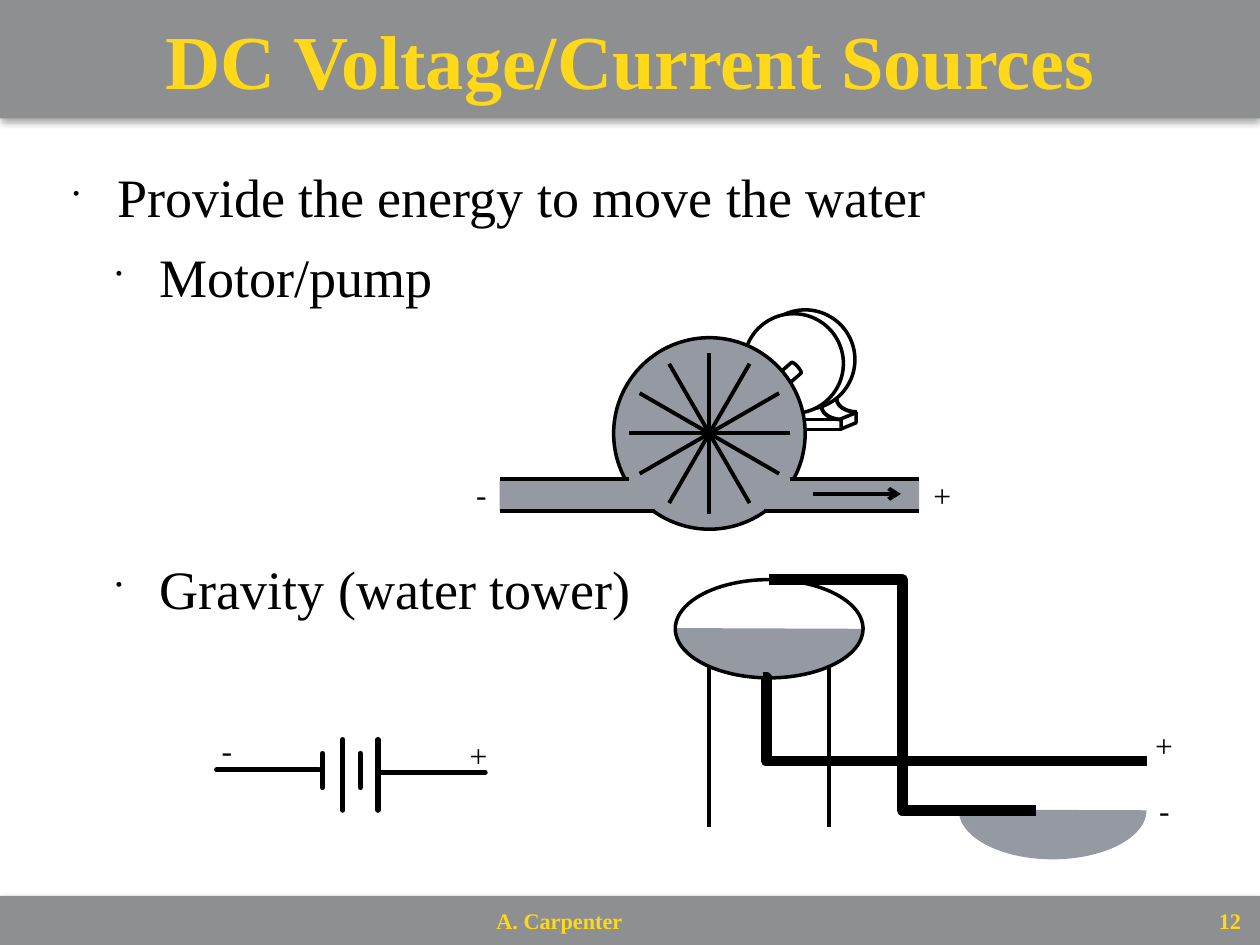
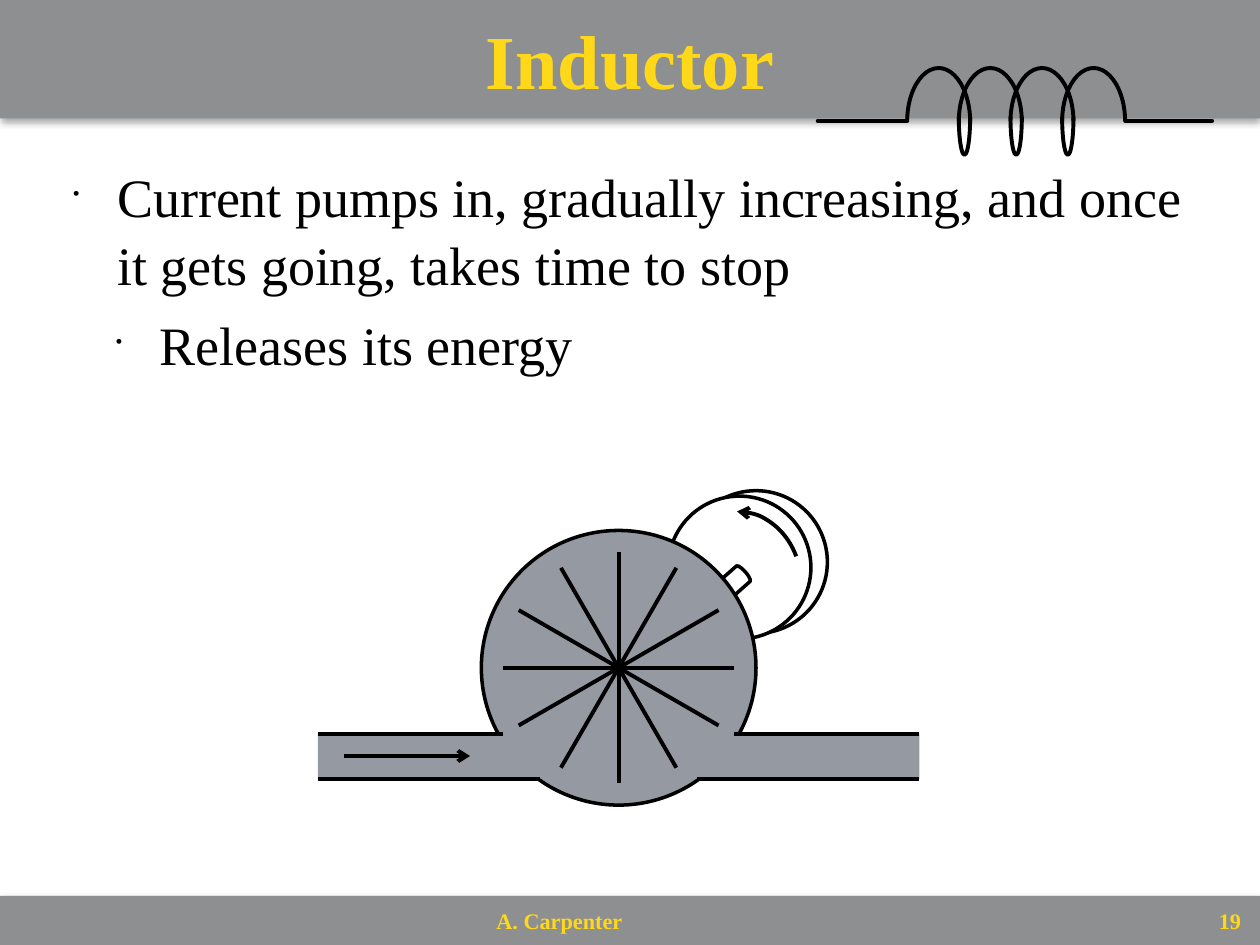
from math import cos, pi, sin

from lxml import etree
from pptx import Presentation
from pptx.dml.color import RGBColor
from pptx.enum.shapes import MSO_CONNECTOR, MSO_SHAPE
from pptx.enum.text import MSO_ANCHOR, PP_ALIGN
from pptx.oxml.ns import qn
from pptx.util import Inches, Pt

RECT, OVAL, CAN = MSO_SHAPE.RECTANGLE, MSO_SHAPE.OVAL, MSO_SHAPE.CAN
ARC, CHORD, SLANT = MSO_SHAPE.ARC, MSO_SHAPE.CHORD, MSO_SHAPE.PARALLELOGRAM
STRAIGHT, ELBOW = MSO_CONNECTOR.STRAIGHT, MSO_CONNECTOR.ELBOW
LEFT, CENTER, RIGHT = PP_ALIGN.LEFT, PP_ALIGN.CENTER, PP_ALIGN.RIGHT
TOP, MIDDLE = MSO_ANCHOR.TOP, MSO_ANCHOR.MIDDLE

COLORS = {"band": "8E8F90", "gold": "FFD819", "ink": "000000",
          "water": "959AA2", "paper": "FFFFFF"}
FACE = "Times New Roman"
WIDE, HIGH = 10, 7.5  # grid of one-inch cells

# Text formats
TITLE = {"size": Pt(43.6), "bold": True, "color": "gold"}
FOOT = {"size": Pt(12.7), "bold": True, "color": "gold"}
BODY = {"size": Pt(30.9), "color": "ink"}
SIGN = {"size": Pt(18), "color": "ink"}
INDENTS = [0.36, 0.7]

# Arc angles, in units of 100000/60000 degrees
UPPER = (108.42, 215.35)
LOWER = (215.34, 108.66)
TURN = (162, 200.36)
HALF = (0.03, 108.24)
WHOLE = (0.03, 215.27)


def rgb(name):
    return RGBColor.from_string(COLORS[name])


def add_xml(parent, tag, **attrs):
    return etree.SubElement(parent, qn(tag), attrs)


def style_font(font, style):
    font.name = FACE
    for key, value in style.items():
        if key == "color":
            font.color.rgb = rgb(value)
        else:
            setattr(font, key, value)


def set_frame(frame, inset, anchor=TOP, wrap=True):
    frame.word_wrap = wrap
    frame.vertical_anchor = anchor
    for side, gap in zip(("left", "top", "right", "bottom"), inset):
        setattr(frame, f"margin_{side}", Inches(gap))


def write(frame, text, style, align=LEFT):
    para = frame.paragraphs[0]
    para.text = text
    para.alignment = align
    style_font(para.font, style)


def label(slide, box, text, style, inset=(0.1, 0.05, 0.1, 0.05),
          anchor=TOP, align=LEFT, wrap=False):
    frame = slide.shapes.add_textbox(*map(Inches, box)).text_frame
    set_frame(frame, inset, anchor, wrap)
    write(frame, text, style, align)


def shape(slide, kind, box, fill=None, line=None, adj=(), turn=0):
    item = slide.shapes.add_shape(kind, *map(Inches, box))
    item.shadow.inherit = False
    item.rotation = turn
    for i, value in enumerate(adj):
        item.adjustments[i] = value
    if fill:
        item.fill.solid()
        item.fill.fore_color.rgb = rgb(fill)
    else:
        item.fill.background()
    if line:
        item.line.color.rgb = rgb("ink")
        item.line.width = Pt(line)
    else:
        item.line.fill.background()
    return item


def wire(slide, start, end, width=2.25, kind=STRAIGHT, arrow=False,
         cap="flat", bend=None):
    item = slide.shapes.add_connector(kind, *map(Inches, (*start, *end)))
    item.line.color.rgb = rgb("ink")
    item.line.width = Pt(width)
    props = item._element.spPr
    edge = props.find(qn("a:ln"))
    edge.set("cap", cap)
    if arrow:
        add_xml(edge, "a:tailEnd", type="arrow")
    if bend is not None:
        guides = props.find(qn("a:prstGeom")).find(qn("a:avLst"))
        add_xml(guides, "a:gd", name="adj1", fmla=f"val {bend}")
    add_xml(props, "a:effectLst")


def band(slide, top, height):
    item = shape(slide, RECT, (0, top, WIDE, height), "band")
    effects = item._element.spPr.find(qn("a:effectLst"))
    cast = add_xml(effects, "a:outerShdw", blurRad=str(Pt(4)),
                   dist=str(Pt(2)), dir="5400000", rotWithShape="0")
    tone = add_xml(cast, "a:srgbClr", val=COLORS["ink"])
    add_xml(tone, "a:alpha", val="35000")
    return item


def bullets(slide, height, items):
    """Each item is (level, text, points before)."""
    box = slide.shapes.add_textbox(*map(Inches, (0.5, 1.17, 9, height)))
    frame = box.text_frame
    set_frame(frame, (0.07, 0.1, 0.07, 0.07))
    for i, (level, text, before) in enumerate(items):
        para = frame.add_paragraph() if i else frame.paragraphs[0]
        para.text = text
        para.level = level
        para.line_spacing = 1.05
        para.space_before = Pt(before)
        props = para._p.get_or_add_pPr()
        props.set("marL", str(Inches(INDENTS[level])))
        props.set("indent", str(Inches(-0.35)))
        add_xml(props, "a:buSzPct", val="35000")
        add_xml(props, "a:buChar", char="•")
        style_font(para.font, BODY)


def base(deck, title, number):
    slide = deck.slides.add_slide(deck.slide_layouts[6])
    band(slide, 7.11, HIGH - 7.11)
    label(slide, (3.89, 7.15, 2.23, 0.31), "A. Carpenter", FOOT,
          (0.05,) * 4, MIDDLE, wrap=True)
    frame = band(slide, 0, 0.94).text_frame
    set_frame(frame, (0.07,) * 4, MIDDLE)
    write(frame, title, TITLE, CENTER)
    label(slide, (9.57, 7.13, 0.35, 0.36), str(number), FOOT,
          (0.07,) * 4, MIDDLE, RIGHT)
    return slide


def pump(slide, x, y, r):
    """Motor, wheel and pipes, measured in wheel radii from its centre."""
    def spot(dx, dy):
        return x + dx * r, y + dy * r

    def part(kind, dx, dy, w, h, fill, line=2, turn=0):
        box = (*spot(dx, dy), w * r, h * r)
        shape(slide, kind, box, fill, line, turn=turn)

    # Motor, shaft and wheel
    part(OVAL, 0.48, -1.29, 1.04, 1.04, "paper")
    part(OVAL, 0.36, -1.25, 1.04, 1.04, "paper")
    part(CAN, 0.51, -0.85, 0.15, 0.9, "paper", turn=228.5)
    part(OVAL, -1, -1, 2, 2, "water")
    # Blades
    for step in range(6):
        dx, dy = (0.84 * f(step * pi / 6) for f in (cos, sin))
        wire(slide, spot(-dx, -dy), spot(dx, dy))
    # Pipes
    for left in (-2.19, 0.57):
        part(RECT, left, 0.48, 1.62, 0.33, "water", None)
    for side in (-1, 1):
        for inner, level in ((0.84, 0.48), (0.57, 0.81)):
            wire(slide, spot(side * inner, level), spot(side * 2.19, level))


def stand(slide):
    for x, y in ((6.52, 3.12), (6.64, 3.06)):
        shape(slide, ARC, (x, y, 0.32, 0.21), line=2.25, turn=180)
    foot = shape(slide, SLANT, (6.67, 3.28, 0.13, 0.12), "paper", 2,
                 (0.41,), 90)
    foot._element.spPr.xfrm.set("flipV", "1")


def tower(slide):
    tank = (5.36, 4.6, 1.49, 0.78)
    shape(slide, CHORD, tank, "water", adj=HALF)
    shape(slide, CHORD, tank, line=2, adj=WHOLE)
    shape(slide, CHORD, (7.61, 6.04, *tank[2:]), "water", adj=HALF)
    wire(slide, (6.1, 4.6), (8.22, 6.43), 6.25, ELBOW)
    wire(slide, (6.06, 5.38), (9.1, 6.04), 6.25, ELBOW, bend=700)
    for x in (5.63, 6.58):
        wire(slide, (x, 5.3), (x, 6.56))


def cell(slide):
    for x, end, y in ((3.85, 3.03, 6.13), (2.53, 1.72, 6.11)):
        wire(slide, (x, y), (end, y), 3, cap="rnd")
    for x, top, foot in ((2.56, 5.98, 6.25), (2.72, 5.87, 6.43),
                         (2.86, 5.98, 6.25), (3, 5.87, 6.43)):
        wire(slide, (x, top), (x, foot), 3, cap="rnd")


def coil(slide):
    start, pitch, turns, width = 7.2, 0.41, 4, 0.5
    for i in range(turns):
        x = start + i * pitch
        shape(slide, ARC, (x, 0.54, width, 0.85), line=2.25, adj=UPPER)
        if i:
            shape(slide, ARC, (x, 0.63, width - pitch, 0.6), line=2.25,
                  adj=LOWER)
    for x, end in ((start, 6.49), (8.93, 9.62)):
        wire(slide, (x, 0.96), (end, 0.96), cap="rnd")


def sources(deck):
    slide = base(deck, "DC Voltage/Current Sources", 12)
    bullets(slide, 4.35, [(0, "Provide the energy to move the water", 0),
                          (1, "Motor/pump", 7),
                          (1, "Gravity (water tower)", 139)])
    shape(slide, RECT, (6.17, 3.33, 0.51, 0.08), "paper", 2)
    pump(slide, 5.63, 3.44, 0.76)
    wire(slide, (6.45, 3.92), (7.15, 3.92), arrow=True)
    stand(slide)
    tower(slide)
    cell(slide)
    for sign, x, y in (("+", 9.07, 5.71), ("-", 9.1, 6.23),
                       ("-", 3.68, 3.72), ("+", 7.31, 3.73),
                       ("+", 3.63, 5.79), ("-", 1.66, 5.75)):
        label(slide, (x, y, 0.34 if sign == "+" else 0.29, 0.4), sign, SIGN)


def inductor(deck):
    slide = base(deck, "Inductor", 19)
    bullets(slide, 2.9, [
        (0, "Current pumps in, gradually increasing, and once it gets going, "
            "takes time to stop", 0),
        (1, "Releases its energy", 7)])
    pump(slide, 4.91, 5.3, 1.09)
    spin = shape(slide, ARC, (5.34, 4.06, 1.02, 1.17), line=2.25, adj=TURN)
    add_xml(spin._element.spPr.find(qn("a:ln")), "a:headEnd", type="arrow")
    wire(slide, (2.73, 6), (3.73, 6), arrow=True)
    coil(slide)


def main():
    deck = Presentation()
    deck.slide_width, deck.slide_height = Inches(WIDE), Inches(HIGH)
    sources(deck)
    inductor(deck)
    deck.save("out.pptx")


if __name__ == "__main__":
    main()
